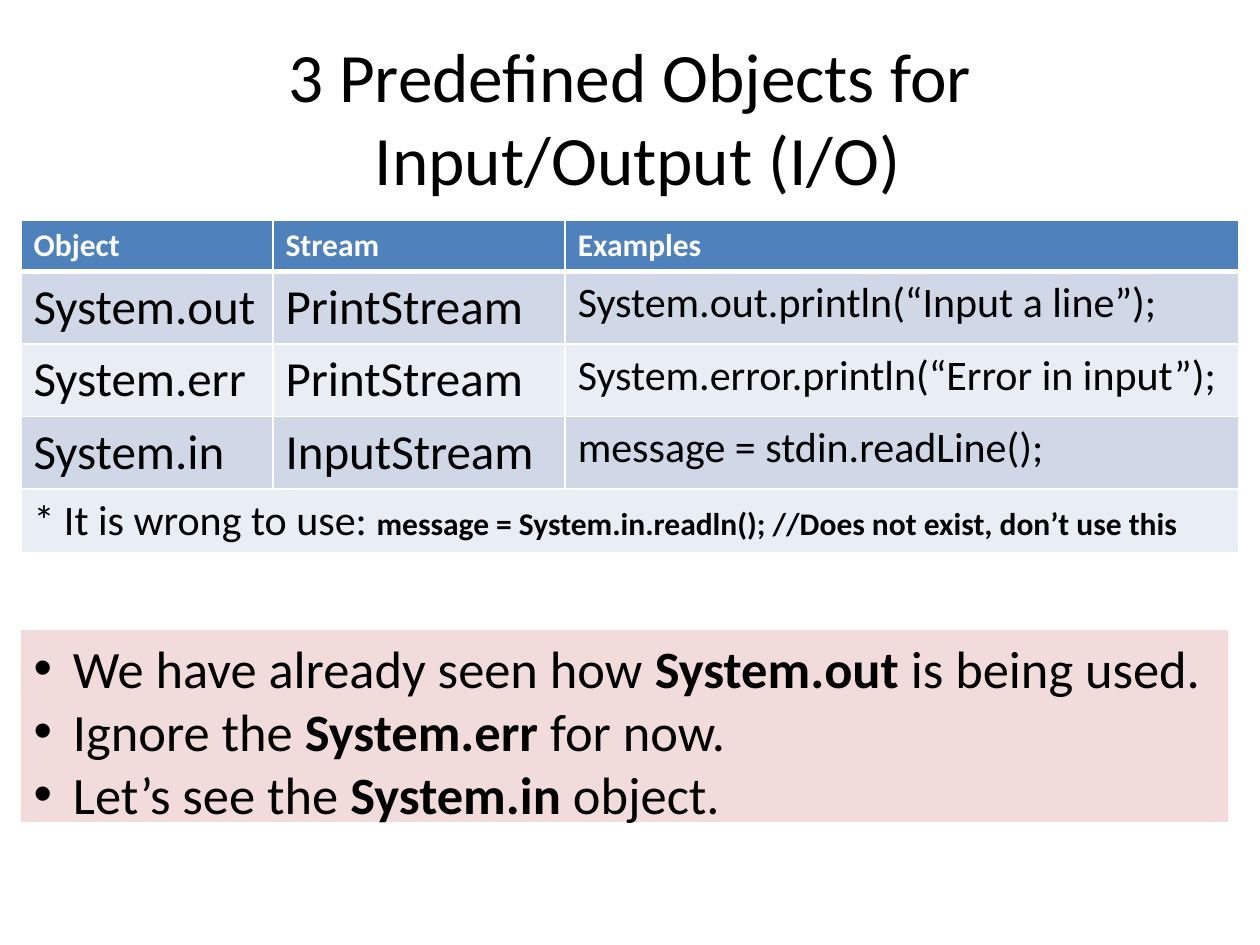
from dataclasses import dataclass
from typing import NamedTuple

from lxml.etree import SubElement
from pptx import Presentation
from pptx.dml.color import RGBColor as Rgb
from pptx.enum.text import MSO_ANCHOR as Anchor, MSO_AUTO_SIZE as AutoSize, PP_ALIGN as Align
from pptx.oxml.ns import qn
from pptx.util import Pt


@dataclass(frozen=True)
class Theme:
    font: str = "Calibri"
    text: Rgb = Rgb(0x00, 0x00, 0x00)
    white: Rgb = Rgb(0xFF, 0xFF, 0xFF)
    header: Rgb = Rgb(0x4F, 0x81, 0xBD)
    bands: tuple = (Rgb(0xD0, 0xD8, 0xE8), Rgb(0xE9, 0xED, 0xF4))
    panel: Rgb = Rgb(0xF2, 0xDC, 0xDB)
    title_size: float = 39.6
    list_size: float = 30
    name_size: float = 28
    code_size: float = 24
    small_size: float = 18


THEME = Theme()


class Span(NamedTuple):
    text: str
    size: float
    bold: bool = False
    color: Rgb = THEME.text


class Bounds(NamedTuple):
    left: float
    top: float
    width: float
    height: float


class StreamObject(NamedTuple):
    name: str
    stream: str
    example: str


TITLE = "3 Predefined Objects for\v Input/Output (I/O)"
TITLE_BOUNDS = Bounds(36, 21.6, 648, 90)
LIST_BOUNDS = Bounds(12, 360, 690, 116.8)
TABLE_LEFT, TABLE_TOP = 12, 126
COLUMN_WIDTHS = (144, 167, 385)
ROW_HEIGHTS = (29, 41.5, 41.5, 41.5, 36.5)
BULLET_INDENT = 22.5

HEADINGS = ("Object", "Stream", "Examples")
OBJECTS = (
    StreamObject("System.out", "PrintStream", "System.out.println(“Input a line”);"),
    StreamObject("System.err", "PrintStream", "System.error.println(“Error in input”);"),
    StreamObject("System.in", "InputStream", "message = stdin.readLine();"),
)
NOTE = (
    Span("* It is wrong to use: ", THEME.code_size),
    Span("message = System.in.readln(); //Does not exist, don’t use this", THEME.small_size, True),
)
REMARKS = (
    ("We have already seen how ", "System.out ", "is being used."),
    ("Ignore the ", "System.err ", "for now."),
    ("Let’s see the ", "System.in", " object."),
)


def place(shape, bounds: Bounds) -> None:
    shape.left, shape.top, shape.width, shape.height = map(Pt, bounds)


def style_font(font, size: float, bold: bool, color: Rgb) -> None:
    font.name, font.size, font.bold = THEME.font, Pt(size), bold
    font.color.rgb = color


def write_spans(para, spans) -> None:
    for span in spans:
        run = para.add_run()
        run.text = span.text
        style_font(run.font, span.size, span.bold, span.color)


def add_border(cell, side: str, width: float) -> None:
    line = SubElement(cell._tc.get_or_add_tcPr(), qn(f"a:ln{side}"), w=str(Pt(width)))
    fill = SubElement(line, qn("a:solidFill"))
    SubElement(fill, qn("a:srgbClr"), val=str(THEME.white))


def fill_cell(cell, spans, fill: Rgb, top: float = 1, bottom: float = 1) -> None:
    for side, width in (("L", 1), ("R", 1), ("T", top), ("B", bottom)):
        add_border(cell, side, width)
    cell.fill.solid()
    cell.fill.fore_color.rgb = fill
    write_spans(cell.text_frame.paragraphs[0], spans)


def add_title(slide) -> None:
    title = slide.shapes.title
    place(title, TITLE_BOUNDS)
    frame = title.text_frame
    frame.text = TITLE
    frame.auto_size = AutoSize.NONE
    frame.vertical_anchor = Anchor.MIDDLE
    para = frame.paragraphs[0]
    para.alignment = Align.CENTER
    for run in para.runs:
        style_font(run.font, THEME.title_size, False, THEME.text)


def add_object_table(slide) -> None:
    table = slide.shapes.add_table(
        len(ROW_HEIGHTS), len(COLUMN_WIDTHS), Pt(TABLE_LEFT), Pt(TABLE_TOP),
        Pt(sum(COLUMN_WIDTHS)), Pt(sum(ROW_HEIGHTS)),
    ).table
    for column, width in zip(table.columns, COLUMN_WIDTHS):
        column.width = Pt(width)
    for row, height in zip(table.rows, ROW_HEIGHTS):
        row.height = Pt(height)

    for column, heading in enumerate(HEADINGS):
        span = Span(heading, THEME.small_size, True, THEME.white)
        fill_cell(table.cell(0, column), [span], THEME.header, bottom=3)

    sizes = (THEME.name_size, THEME.name_size, THEME.code_size)
    for row, entry in enumerate(OBJECTS, start=1):
        for column, (text, size) in enumerate(zip(entry, sizes)):
            fill_cell(table.cell(row, column), [Span(text, size)],
                      THEME.bands[(row - 1) % 2], top=3 if row == 1 else 1)

    last = len(ROW_HEIGHTS) - 1
    note = table.cell(last, 0)
    note.merge(table.cell(last, len(COLUMN_WIDTHS) - 1))
    fill_cell(note, NOTE, THEME.bands[1])


def set_bullet(para) -> None:
    properties = para._p.get_or_add_pPr()
    properties.set("marL", str(Pt(BULLET_INDENT)))
    properties.set("indent", str(-Pt(BULLET_INDENT)))
    SubElement(properties, qn("a:buFont"), typeface="Arial")
    SubElement(properties, qn("a:buChar"), char="•")


def add_remarks(slide) -> None:
    body = slide.placeholders[1]
    place(body, LIST_BOUNDS)
    body.fill.solid()
    body.fill.fore_color.rgb = THEME.panel
    frame = body.text_frame
    frame.word_wrap = True
    frame.auto_size = AutoSize.SHAPE_TO_FIT_TEXT
    for index, (before, name, after) in enumerate(REMARKS):
        para = frame.add_paragraph() if index else frame.paragraphs[0]
        set_bullet(para)
        para.space_before = Pt(0)
        size = THEME.list_size
        write_spans(para, (Span(before, size), Span(name, size, True), Span(after, size)))


def main() -> None:
    deck = Presentation()
    deck.slide_width, deck.slide_height = Pt(720), Pt(540)
    slide = deck.slides.add_slide(deck.slide_layouts[1])
    add_title(slide)
    add_object_table(slide)
    add_remarks(slide)
    deck.save("out.pptx")


if __name__ == "__main__":
    main()
